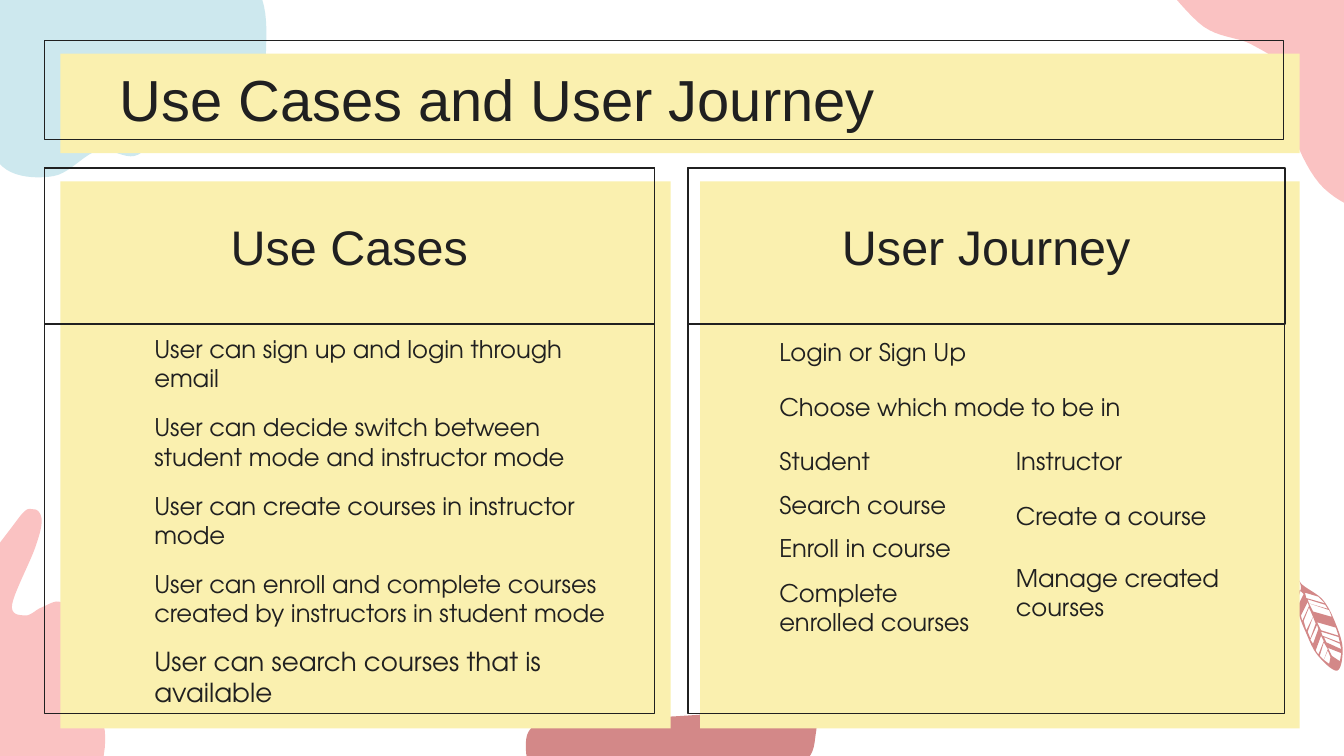
from pptx import Presentation
from pptx.dml.color import RGBColor
from pptx.enum.shapes import MSO_SHAPE
from pptx.enum.text import MSO_ANCHOR, MSO_AUTO_SIZE, PP_ALIGN
from pptx.util import Inches, Pt

INK = RGBColor(0x20, 0x20, 0x20)
YELLOW = RGBColor(0xFA, 0xF0, 0xAF)
PINK = RGBColor(0xFA, 0xC2, 0xC2)
ROSE = RGBColor(0xD3, 0x88, 0x88)
BLUE = RGBColor(0xCD, 0xE8, 0xEE)
HEAD, BODY = "Arial", "TeX Gyre Adventor"

# Content: text, with its size where it differs
TITLE = "Use Cases and User Journey"
HEADS = ["Use Cases", "User Journey"]
CASES = [
    ("User can sign up and login through email", 13),
    ("User can decide switch between student mode and instructor mode", 13),
    ("User can create courses in instructor mode", 13),
    ("User can enroll and complete courses created by instructors in student mode", 13),
    ("User can search courses that is available", 14),
]
STEPS = ["Login or Sign Up", "Choose which mode to be in"]
MODES = [  # one list per column: (offset from the first row, text)
    [(0, "Student"), (0.33, "Search course"), (0.65, "Enroll in course"),
     (0.98, "Complete enrolled courses")],
    [(0, "Instructor"), (0.41, "Create a course"), (0.87, "Manage created courses")],
]

# Panels: yellow cards and line frames (left, top, width, height)
CARDS = [(0.45, 0.4, 9.22, 0.74), (0.45, 1.35, 4.54, 4.07), (5.21, 1.35, 4.46, 4.07)]
FRAMES = [(0.33, 0.3, 9.22, 0.74), (0.33, 1.25, 4.54, 4.06), (5.12, 1.25, 4.44, 4.06)]
HEAD_H = 1.16

# Organic shapes: points on a smooth closed outline
BLOBS = [
    (PINK, [(0.25, 3.79), (0.12, 3.88), (-0.28, 4.53), (-0.31, 5.38), (0.38, 6.08),
            (0.64, 5.99), (0.78, 5.44), (0.51, 4.84), (0.56, 4.62), (0.45, 4.48),
            (0.31, 4.52), (0.19, 4.58), (0.09, 4.5), (0.26, 4.08), (0.31, 3.87)]),
    (ROSE, [(5.88, 5.27), (5.03, 5.33), (4.18, 5.37), (3.93, 5.45), (3.97, 5.76),
            (4.28, 5.84), (4.74, 5.84), (5.56, 5.81), (5.98, 5.67), (6.07, 5.46),
            (6.05, 5.28)]),
    (BLUE, [(1.98, 0.37), (1.91, -0.09), (1.44, -0.41), (1.2, -0.43), (0.4, -0.37),
            (-0.03, -0.12), (-0.15, 0.81), (0.02, 1.24), (0.4, 1.31), (0.73, 1.12),
            (1.03, 1.15), (1.3, 0.83), (1.63, 0.59), (1.9, 0.5)]),
    (PINK, [(9.88, -0.99), (8.95, -0.87), (8.72, -0.79), (8.54, -0.36), (8.92, 0.17),
            (9.31, 0.33), (9.55, 0.52), (9.59, 0.91), (9.85, 1.4), (10.32, 1.61),
            (10.86, 1.5), (11.1, 0.82), (11, -0.1), (10.74, -0.73), (10.22, -0.97)]),
]
LEAF = [(9.64, 4.27), (9.68, 4.37), (9.64, 4.51), (9.67, 4.59), (9.71, 4.69),
        (9.8, 4.87), (9.95, 4.99), (9.99, 4.82), (9.93, 4.62), (9.84, 4.46),
        (9.69, 4.35)]
GAPS = [  # open cells between the veins
    [(9.67, 4.39), (9.7, 4.42), (9.65, 4.52), (9.65, 4.44)],
    [(9.71, 4.41), (9.81, 4.44), (9.86, 4.49), (9.72, 4.45)],
    [(9.73, 4.48), (9.74, 4.51), (9.69, 4.62), (9.68, 4.58)],
    [(9.74, 4.52), (9.77, 4.59), (9.72, 4.69), (9.7, 4.62)],
    [(9.73, 4.46), (9.86, 4.5), (9.88, 4.53), (9.74, 4.49)],
    [(9.77, 4.59), (9.79, 4.64), (9.75, 4.75), (9.73, 4.7)],
    [(9.74, 4.49), (9.89, 4.54), (9.91, 4.59), (9.77, 4.55)],
    [(9.8, 4.65), (9.81, 4.68), (9.77, 4.79), (9.75, 4.76)],
    [(9.83, 4.73), (9.85, 4.77), (9.81, 4.87), (9.79, 4.84)],
    [(9.85, 4.78), (9.88, 4.83), (9.85, 4.91), (9.82, 4.88)],
    [(9.8, 4.63), (9.94, 4.67), (9.96, 4.73), (9.83, 4.69)],
    [(9.83, 4.7), (9.96, 4.74), (9.97, 4.78), (9.84, 4.73)],
    [(9.85, 4.74), (9.97, 4.79), (9.98, 4.83), (9.87, 4.78)],
    [(9.88, 4.84), (9.9, 4.89), (9.89, 4.94), (9.85, 4.91)],
    [(9.88, 4.82), (9.98, 4.86), (9.97, 4.92), (9.91, 4.88)],
]

deck = Presentation()
deck.slide_width = Inches(10)
deck.slide_height = deck.slide_width * 9 // 16
slide = deck.slides.add_slide(deck.slide_layouts[4])
shapes = slide.shapes


def smooth(pts, steps=10):
    """Points of a closed Catmull-Rom curve through pts."""
    out = []
    for i in range(len(pts)):
        a, b, c, d = (pts[(i + k) % len(pts)] for k in (-1, 0, 1, 2))
        for t in (n / steps for n in range(steps)):
            out.append(tuple(
                q + t * ((r - p) + t * ((2 * p - 5 * q + 4 * r - s)
                                        + t * (3 * q - p - 3 * r + s))) / 2
                for p, q, r, s in zip(a, b, c, d)))
    return out


def outline(color, loops):
    """Filled freeform; the builder needs whole numbers, so draw in EMU."""
    loops = [[(Inches(x), Inches(y)) for x, y in loop] for loop in loops]
    pen = shapes.build_freeform(*loops[0][0])
    for n, loop in enumerate(loops):
        if n:
            pen.move_to(*loop[0])
        pen.add_line_segments(loop[1:], close=True)
    form = pen.convert_to_shape()
    form.shadow.inherit = False
    form.fill.solid()
    form.fill.fore_color.rgb = color
    form.line.fill.background()


def frame(shape):
    shape.fill.background()
    shape.line.color.rgb = INK
    shape.line.width = Pt(0.75)


def rect(box):
    shape = shapes.add_shape(MSO_SHAPE.RECTANGLE, *map(Inches, box))
    shape.shadow.inherit = False
    return shape


def write(shape, text, size, font, align=PP_ALIGN.LEFT, anchor=MSO_ANCHOR.MIDDLE):
    tf = shape.text_frame
    tf.text = text
    tf.word_wrap, tf.auto_size = True, MSO_AUTO_SIZE.NONE
    tf.vertical_anchor = anchor
    tf.margin_left = tf.margin_right = tf.margin_top = tf.margin_bottom = Inches(0.1)
    para = tf.paragraphs[0]
    para.alignment = align
    para.space_before = Pt(0)
    face = para.runs[0].font
    face.name, face.size, face.bold = font, Pt(size), False
    face.color.rgb = INK


def label(box, text, size=13, anchor=MSO_ANCHOR.TOP):
    write(shapes.add_textbox(*map(Inches, box)), text, size, BODY, anchor=anchor)


def place(holder, box):
    """Bring a placeholder to the front and set its box."""
    shapes._spTree.append(holder._element)
    holder.left, holder.top, holder.width, holder.height = map(Inches, box)


# Background: blobs, leaf, cards, frames
for color, pts in BLOBS:
    outline(color, [smooth(pts)])
outline(ROSE, [smooth(LEAF)] + GAPS)
for box in CARDS:
    card = rect(box)
    card.fill.solid()
    card.fill.fore_color.rgb = YELLOW
    card.line.fill.background()
for box in FRAMES:
    frame(rect(box))

# Title and panel headings
holders = {h.placeholder_format.idx: h for h in slide.placeholders}
place(holders[0], (0.79, 0.42, 8.43, 0.62))
write(holders[0], TITLE, 31, HEAD)
for idx, text, (x, y, w, _) in zip((1, 3), HEADS, FRAMES[1:]):
    place(holders[idx], (x, y, w, HEAD_H))
    frame(holders[idx])
    write(holders[idx], text, 26, HEAD, PP_ALIGN.CENTER)
for idx, holder in holders.items():
    if idx not in (0, 1, 3):
        holder._element.getparent().remove(holder._element)

# Use cases: equal steps from the first row to the last
first, last = 2.48, 4.81
step = (last - first) / (len(CASES) - 1)
for row, (text, size) in enumerate(CASES):
    label((1.05, first + step * row, 3.64, 0.45), text, size, MSO_ANCHOR.MIDDLE)

# User journey: shared steps, then one column per mode
for row, text in enumerate(STEPS):
    label((5.7, 2.41 + 0.41 * row, 3.44, 0.4), text)
for col, items in enumerate(MODES):
    for drop, text in items:
        label((5.7 + 1.76 * col, 3.22 + drop, 1.76, 0.33), text)

deck.save("out.pptx")
